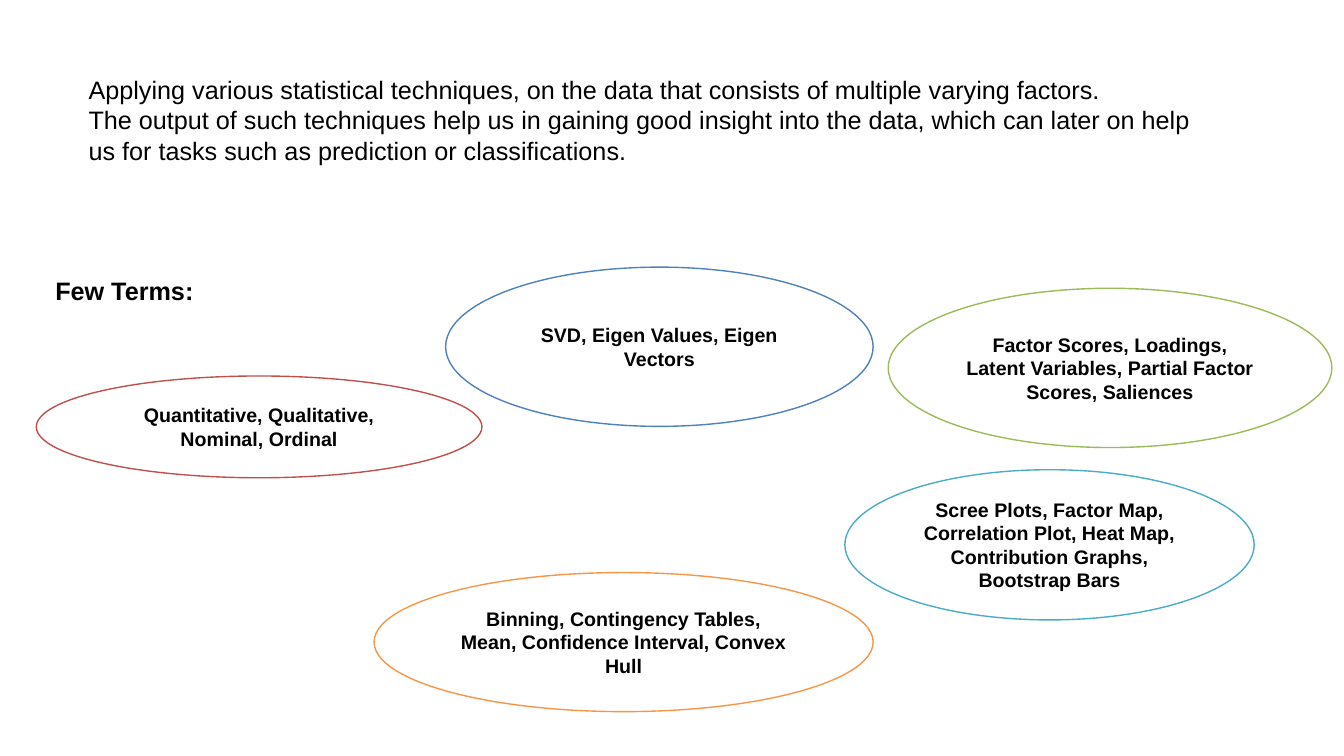
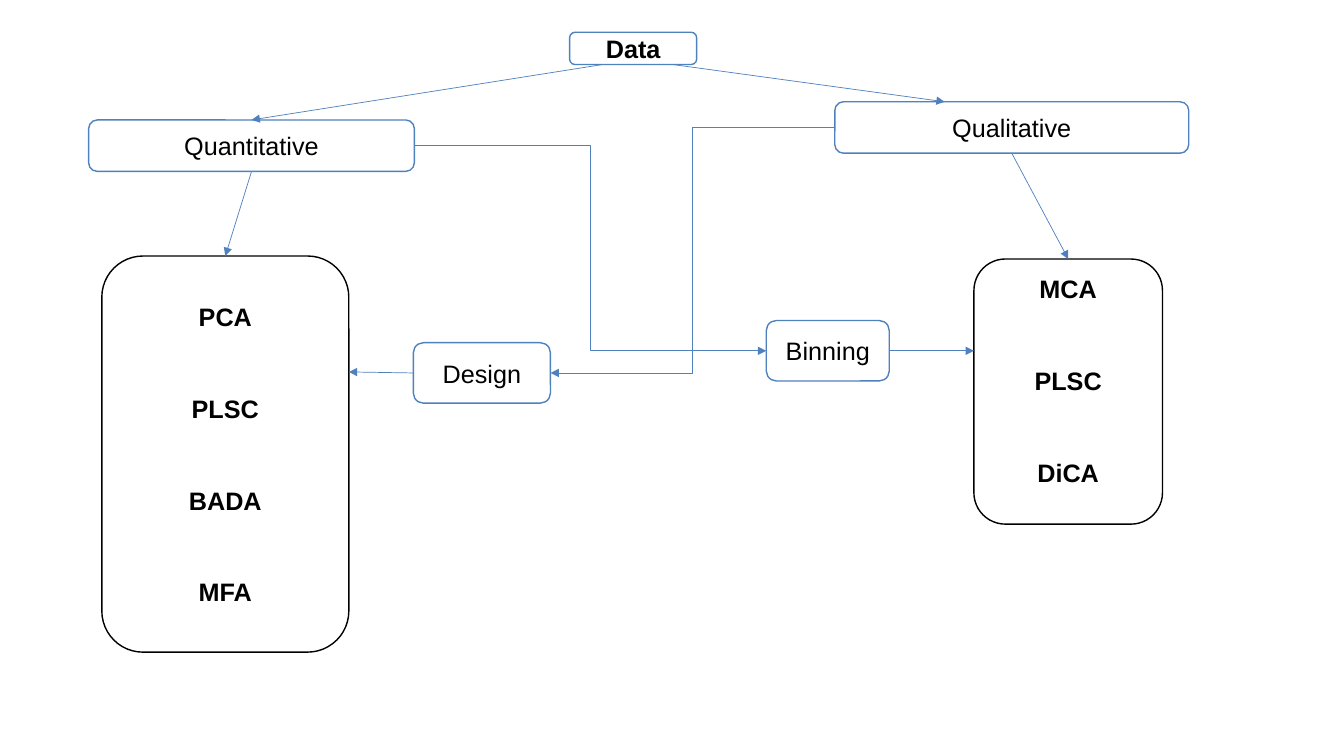
"""Build two slides on multivariate statistics: key terms and a map of methods by data type."""
from lxml import etree
from pptx import Presentation
from pptx.dml.color import RGBColor
from pptx.enum.shapes import MSO_CONNECTOR, MSO_SHAPE
from pptx.enum.text import MSO_ANCHOR, MSO_AUTO_SIZE, PP_ALIGN
from pptx.oxml.ns import qn
from pptx.util import Inches, Pt

ELLIPSE, ROUNDED = MSO_SHAPE.OVAL, MSO_SHAPE.ROUNDED_RECTANGLE
STRAIGHT, ELBOW = MSO_CONNECTOR.STRAIGHT, MSO_CONNECTOR.ELBOW
TOP, MIDDLE = MSO_ANCHOR.TOP, MSO_ANCHOR.MIDDLE
LEFT, CENTER = PP_ALIGN.LEFT, PP_ALIGN.CENTER
GROW = MSO_AUTO_SIZE.SHAPE_TO_FIT_TEXT

BLACK = RGBColor(0x00, 0x00, 0x00)
WHITE = RGBColor(0xFF, 0xFF, 0xFF)
BLUE = RGBColor(0x4F, 0x81, 0xBD)
GREEN = RGBColor(0x9B, 0xBB, 0x59)
TEAL = RGBColor(0x4B, 0xAC, 0xC6)
ORANGE = RGBColor(0xF7, 0x96, 0x46)
RED = RGBColor(0xC0, 0x50, 0x4D)

BODY = {"name": "Arial", "size": Pt(18), "bold": False}
STRONG = {**BODY, "bold": True}
TERM = {**STRONG, "size": Pt(14)}


def write(frame, lines, font, align=LEFT, gap=0):
    """Write one paragraph per line, with a gap in points between them."""
    for index, line in enumerate(lines):
        para = frame.paragraphs[0] if index == 0 else frame.add_paragraph()
        para.alignment = align
        para.space_before = Pt(gap if index else 0)
        span = para.add_run()
        span.text = line
        span.font.color.rgb = BLACK
        for key, value in font.items():
            setattr(span.font, key, value)


def add_node(page, kind, place, color, lines, font, anchor=MIDDLE, gap=0):
    """Add a white outlined shape with centred text."""
    node = page.shapes.add_shape(kind, *map(Inches, place))
    node.shadow.inherit = False
    node.fill.solid()
    node.fill.fore_color.rgb = WHITE
    node.line.color.rgb = color
    node.line.width = Pt(1)
    node.text_frame.word_wrap = True
    node.text_frame.vertical_anchor = anchor
    write(node.text_frame, lines, font, CENTER, gap)
    return node


deck = Presentation()
deck.slide_width, deck.slide_height = Inches(13.33), Inches(7.5)
blank = deck.slide_layouts[6]

terms_page = deck.slides.add_slide(blank)
intro = [
    "Applying various statistical techniques, on the data that consists of multiple varying factors.",
    "The output of such techniques help us in gaining good insight into the data, which can later on help "
    "us for tasks such as prediction or classifications.",
]
for place, wrap, lines, font in [
    ((0.78, 0.69, 11.39, 1.01), True, intro, BODY),
    ((0.45, 2.68, 1.59, 0.4), False, ["Few Terms:"], STRONG),
]:
    box = terms_page.shapes.add_textbox(*map(Inches, place))
    box.text_frame.word_wrap = wrap
    box.text_frame.auto_size = GROW
    write(box.text_frame, lines, font)

for place, color, text in [
    ((4.42, 2.65, 4.24, 1.58), BLUE, "SVD, Eigen Values, Eigen Vectors"),
    ((8.81, 2.86, 4.4, 1.58), GREEN,
     "Factor Scores, Loadings, Latent Variables, Partial Factor Scores, Saliences"),
    ((8.38, 4.66, 4.06, 1.49), TEAL,
     "Scree Plots, Factor Map, Correlation Plot, Heat Map, Contribution Graphs, Bootstrap Bars"),
    ((3.71, 5.68, 4.95, 1.38), ORANGE,
     "Binning, Contingency Tables, Mean, Confidence Interval, Convex Hull"),
    ((0.36, 3.73, 4.42, 1.01), RED, "Quantitative, Qualitative, Nominal, Ordinal"),
]:
    add_node(terms_page, ELLIPSE, place, color, [text], TERM)

map_page = deck.slides.add_slide(blank)
nodes = {}
for name, place, font in [
    ("Data", (5.65, 0.32, 1.26, 0.32), STRONG),
    ("Quantitative", (0.88, 1.19, 3.23, 0.51), BODY),
    ("Qualitative", (8.28, 1.01, 3.51, 0.51), BODY),
    ("Binning", (7.6, 3.18, 1.22, 0.6), BODY),
    ("Design", (4.1, 3.4, 1.36, 0.6), BODY),
]:
    nodes[name] = add_node(map_page, ROUNDED, place, BLUE, [name], font)

for name, place, anchor, methods in [
    ("Quantitative methods", (1.01, 2.54, 2.45, 3.93), MIDDLE, ["PCA", "PLSC", "BADA", "MFA"]),
    ("Qualitative methods", (9.66, 2.57, 1.87, 2.63), TOP, ["MCA", "PLSC", "DiCA"]),
]:
    nodes[name] = add_node(map_page, ROUNDED, place, BLACK, methods, STRONG, anchor, gap=44)

for kind, start, end, begin_join, end_join in [
    (ELBOW, (4.1, 1.44), (7.6, 3.48), ("Quantitative", 3), ("Binning", 1)),
    (ELBOW, (8.28, 1.27), (5.46, 3.7), ("Qualitative", 1), ("Design", 3)),
    (STRAIGHT, (5.98, 0.64), (2.49, 1.19), None, ("Quantitative", 0)),
    (STRAIGHT, (6.67, 0.64), (9.37, 1.01), None, None),
    (STRAIGHT, (2.49, 1.7), (2.23, 2.54), ("Quantitative", 2), ("Quantitative methods", 0)),
    (STRAIGHT, (10.04, 1.52), (10.6, 2.57), ("Qualitative", 2), ("Qualitative methods", 0)),
    (STRAIGHT, (8.82, 3.48), (9.66, 3.48), ("Binning", 3), None),
    (STRAIGHT, (4.1, 3.7), (3.46, 3.69), ("Design", 1), None),
]:
    arrow = map_page.shapes.add_connector(kind, *map(Inches, start + end))
    if begin_join:
        arrow.begin_connect(nodes[begin_join[0]], begin_join[1])
    if end_join:
        arrow.end_connect(nodes[end_join[0]], end_join[1])
    arrow.line.color.rgb = BLUE
    arrow.line.width = Pt(0.5)
    etree.SubElement(arrow.line._get_or_add_ln(), qn("a:tailEnd"), type="triangle")
    etree.SubElement(arrow._element.spPr, qn("a:effectLst"))

deck.save("out.pptx")
